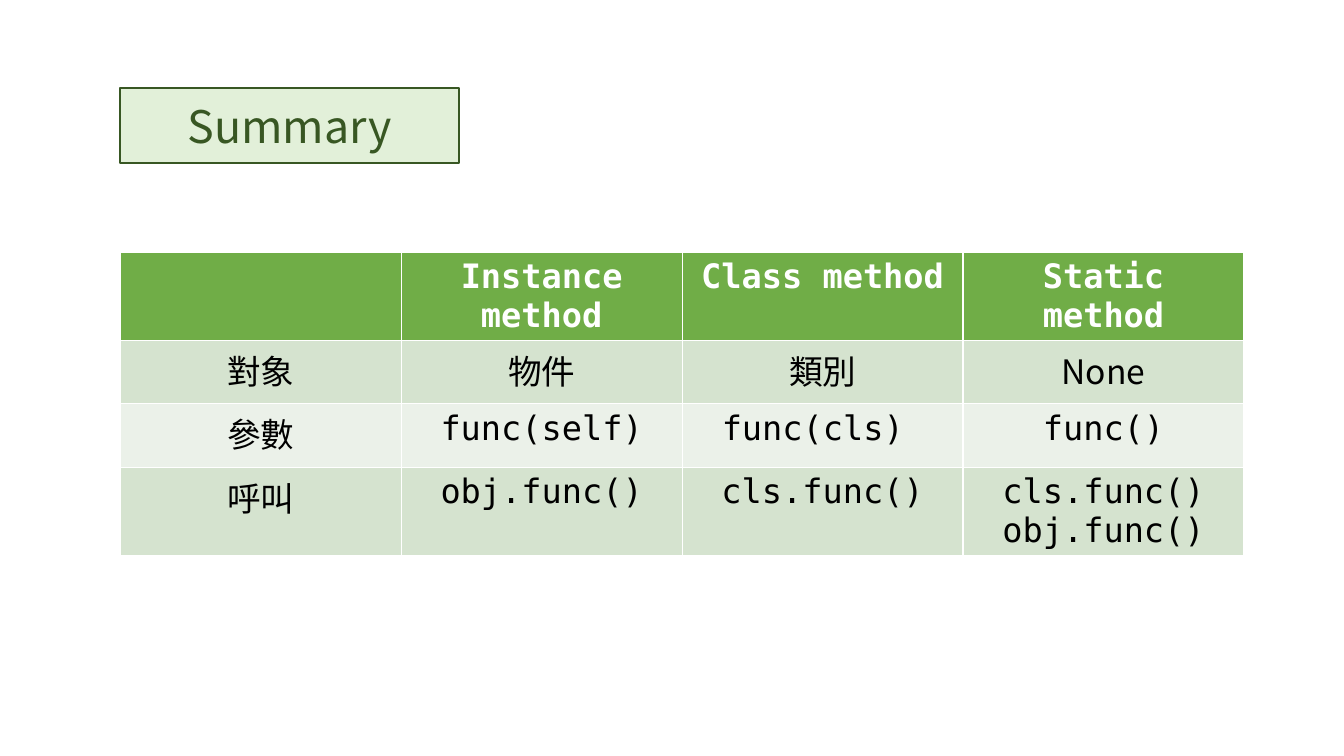
"""Build a summary slide comparing instance, class and static methods."""
import pptx
import pptx.util
import pptx.dml.color
import pptx.enum.text
import pptx.oxml
import pptx.oxml.ns
import lxml.etree

Cm = pptx.util.Cm
COLORS = {
    "ink": "385723", "badge": "E2F0D9", "header": "70AD47",
    "band": "D5E3CF", "plain": "EBF1E9", "white": "FFFFFF", "black": "000000",
}
SANS, MONO = "Noto Sans CJK SC", "DejaVu Sans Mono"


def rgb(name):
    return pptx.dml.color.RGBColor.from_string(COLORS[name])


def format_paragraph(p, font, size, color, bold=False):
    p.alignment = pptx.enum.text.PP_ALIGN.CENTER
    p.font.name = font
    p.font.size = pptx.util.Pt(size)
    p.font.bold = bold
    p.font.color.rgb = rgb(color)
    ea = lxml.etree.SubElement(p.font._element, pptx.oxml.ns.qn("a:ea"))
    ea.set("typeface", font)


prs = pptx.Presentation()
prs.slide_width, prs.slide_height = Cm(33.87), Cm(19.05)
s = prs.slides.add_slide(prs.slide_layouts[5])

title = s.shapes.title
title.left, title.top, title.width, title.height = Cm(3.03), Cm(2.22), Cm(8.54), Cm(1.88)
title._element.spPr.append(pptx.oxml.parse_xml(
    f'<a:prstGeom {pptx.oxml.ns.nsdecls("a")} prst="roundRect"><a:avLst/></a:prstGeom>'))
title.fill.solid()
title.fill.fore_color.rgb = rgb("badge")
title.line.color.rgb = rgb("ink")
title.line.width = pptx.util.Pt(1.5)
tf = title.text_frame
tf.text = "Summary"
tf.auto_size = pptx.enum.text.MSO_AUTO_SIZE.NONE
tf.vertical_anchor = pptx.enum.text.MSO_ANCHOR.MIDDLE
format_paragraph(tf.paragraphs[0], SANS, 32, "ink")

rows = [
    ("", "Instance method", "Class method", "Static method"),
    ("對象", "物件", "類別", "None"),
    ("參數", "func(self)", "func(cls)\t", "func()"),
    ("呼叫", "obj.func()", "cls.func()", "cls.func()\nobj.func()"),
]
fills = ["header", "band", "plain", "band"]
table = s.shapes.add_table(4, 4, Cm(3.03), Cm(6.35), Cm(28.32), Cm(6.4)).table

for i, (texts, fill) in enumerate(zip(rows, fills)):
    table.rows[i].height = Cm(1.6)
    for j, text in enumerate(texts):
        cell = table.cell(i, j)
        cell.fill.solid()
        cell.fill.fore_color.rgb = rgb(fill)
        cell.text = text
        font = SANS if i == 1 or j == 0 else MONO
        for p in cell.text_frame.paragraphs:
            format_paragraph(p, font, 24, "black" if i else "white", bold=i == 0)

prs.save("out.pptx")
